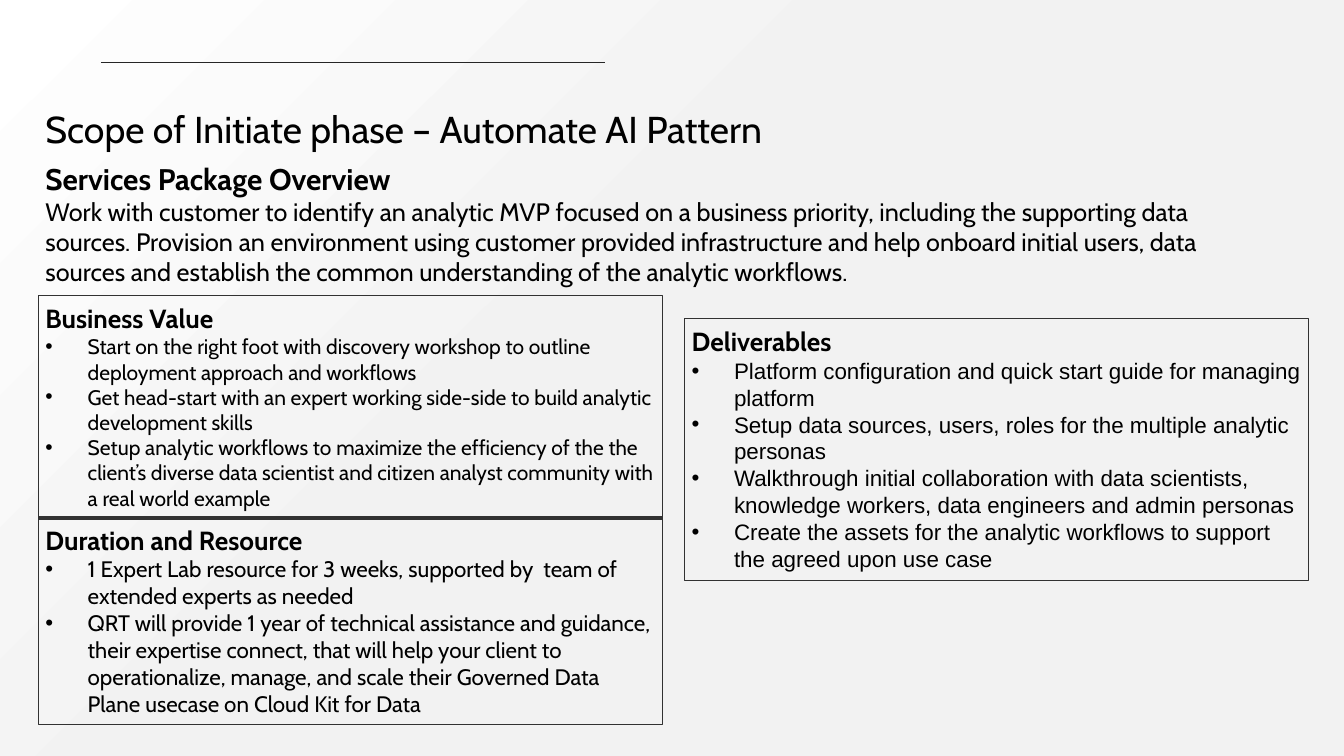
from dataclasses import dataclass

from lxml import etree
from pptx import Presentation
from pptx.dml.color import RGBColor
from pptx.enum.shapes import MSO_CONNECTOR, MSO_SHAPE
from pptx.enum.text import MSO_ANCHOR, MSO_AUTO_SIZE, PP_ALIGN
from pptx.oxml.ns import qn
from pptx.util import Inches, Pt

STRAIGHT = MSO_CONNECTOR.STRAIGHT
RECTANGLE = MSO_SHAPE.RECTANGLE
LEFT = PP_ALIGN.LEFT
TOP = MSO_ANCHOR.TOP
GROW = MSO_AUTO_SIZE.SHAPE_TO_FIT_TEXT


@dataclass(frozen=True)
class Theme:
    font: str = "Cabin"
    plain_font: str = "Arial"
    ink: RGBColor = RGBColor(0, 0, 0)
    rule: RGBColor = RGBColor(0x26, 0x26, 0x26)
    border: RGBColor = RGBColor(0x32, 0x32, 0x32)
    back_start: RGBColor = RGBColor(0xFF, 0xFF, 0xFF)
    back_end: RGBColor = RGBColor(0xF2, 0xF2, 0xF2)
    title_size: float = 26.7
    overview_size: float = 21.3
    lead_size: float = 18
    heading_size: float = 18.7
    compact_size: float = 15
    list_size: float = 16
    inset: float = 0.07
    indent: float = 0.42


THEME = Theme()
MARGIN = 0.38
CARD_WIDTH = 6.19
RIGHT_COLUMN = 6.79

TITLE = "Scope of Initiate phase – Automate AI Pattern"
OVERVIEW = (
    "Services Package Overview",
    "Work with customer to identify an analytic MVP focused on a business priority, "
    "including the supporting data sources. Provision an environment using customer "
    "provided infrastructure and help onboard initial users, data sources and "
    "establish the common understanding of the analytic workflows.",
)
# Each card: box, heading, list font, list size, items
CARDS = [
    ((MARGIN, 2.93, CARD_WIDTH, 2.22), "Business Value", THEME.font, THEME.compact_size, [
        "Start on the right foot with discovery workshop to outline deployment "
        "approach and workflows",
        "Get head-start with an expert working side-side to build analytic "
        "development skills",
        "Setup analytic workflows to maximize the efficiency of the the client’s "
        "diverse data scientist and citizen analyst community with a real world example",
    ]),
    ((RIGHT_COLUMN, 3.16, CARD_WIDTH, 2.6), "Deliverables", THEME.plain_font, THEME.list_size, [
        "Platform configuration and quick start guide for managing platform",
        "Setup data sources, users, roles for the multiple analytic personas",
        "Walkthrough initial collaboration with data scientists, knowledge workers, "
        "data engineers and admin personas",
        "Create the assets for the analytic workflows to support the agreed upon use case",
    ]),
    ((MARGIN, 5.13, CARD_WIDTH, 2.06), "Duration and Resource", THEME.font, THEME.list_size, [
        "1 Expert Lab resource for 3 weeks, supported by  team of extended experts as needed",
        "QRT will provide 1 year of technical assistance and guidance, their expertise "
        "connect, that will help your client to operationalize, manage, and scale their "
        "Governed Data Plane usecase on Cloud Kit for Data",
    ]),
]


def place(shape, box):
    shape.left, shape.top, shape.width, shape.height = map(Inches, box)


def prepare_frame(frame):
    frame.word_wrap = True
    frame.auto_size = GROW
    frame.vertical_anchor = TOP
    frame.margin_left = frame.margin_right = Inches(THEME.inset)
    frame.margin_top = frame.margin_bottom = Inches(THEME.inset)


def write(para, text, size, bold=False, font=THEME.font):
    para.text = text
    para.alignment = LEFT
    para.space_before = Pt(0)
    for span in para.runs:
        span.font.name = font
        span.font.size = Pt(size)
        span.font.bold = bold
        span.font.color.rgb = THEME.ink


def set_bullet(para, char=None):
    """Give the paragraph a hanging bullet, or none at all."""
    indent = Inches(THEME.indent) if char else 0
    properties = para._p.get_or_add_pPr()
    properties.set("marL", str(indent))
    properties.set("indent", str(-indent))
    if char:
        etree.SubElement(properties, qn("a:buFont")).set("typeface", THEME.plain_font)
        etree.SubElement(properties, qn("a:buChar")).set("char", char)
    else:
        etree.SubElement(properties, qn("a:buNone"))


def paint_background(page):
    fill = page.background.fill
    fill.gradient()
    fill.gradient_angle = 315
    start, end = fill.gradient_stops
    start.position, start.color.rgb = 0, THEME.back_start
    end.position, end.color.rgb = 0.44, THEME.back_end


def add_rule(page, left, top, width):
    rule = page.shapes.add_connector(
        STRAIGHT, Inches(left), Inches(top), Inches(left + width), Inches(top))
    rule.line.color.rgb = THEME.rule
    rule.line.width = Pt(1.25)
    etree.SubElement(rule._element.spPr, qn("a:effectLst"))


def fill_title(page, box):
    title = page.shapes.title
    place(title, box)
    prepare_frame(title.text_frame)
    write(title.text_frame.paragraphs[0], TITLE, THEME.title_size)


def fill_overview(page, box):
    body = page.placeholders[1]
    place(body, box)
    frame = body.text_frame
    prepare_frame(frame)
    heading, lead = OVERVIEW
    write(frame.paragraphs[0], heading, THEME.overview_size, bold=True)
    write(frame.add_paragraph(), lead, THEME.lead_size)
    for para in frame.paragraphs:
        set_bullet(para)


def add_card(page, box, heading, font, size, items):
    card = page.shapes.add_shape(RECTANGLE, *map(Inches, box))
    card.shadow.inherit = False
    card.fill.background()
    card.line.color.rgb = THEME.border
    card.line.width = Pt(1)
    frame = card.text_frame
    prepare_frame(frame)
    write(frame.paragraphs[0], heading, THEME.heading_size, bold=True)
    for item in items:
        para = frame.add_paragraph()
        write(para, item, size, font=font)
        set_bullet(para, "•")


def build_scope_page(deck):
    page = deck.slides.add_slide(deck.slide_layouts[1])
    paint_background(page)
    # Heading area
    add_rule(page, 1, 0.62, 5)
    fill_title(page, (MARGIN, 0.98, 11.21, 0.58))
    fill_overview(page, (MARGIN, 1.52, 12, 1.81))
    # Bordered lists
    for card in CARDS:
        add_card(page, *card)


def main():
    deck = Presentation()
    deck.slide_width = Inches(13.33)
    deck.slide_height = Inches(7.5)
    build_scope_page(deck)
    deck.save("out.pptx")


if __name__ == "__main__":
    main()
